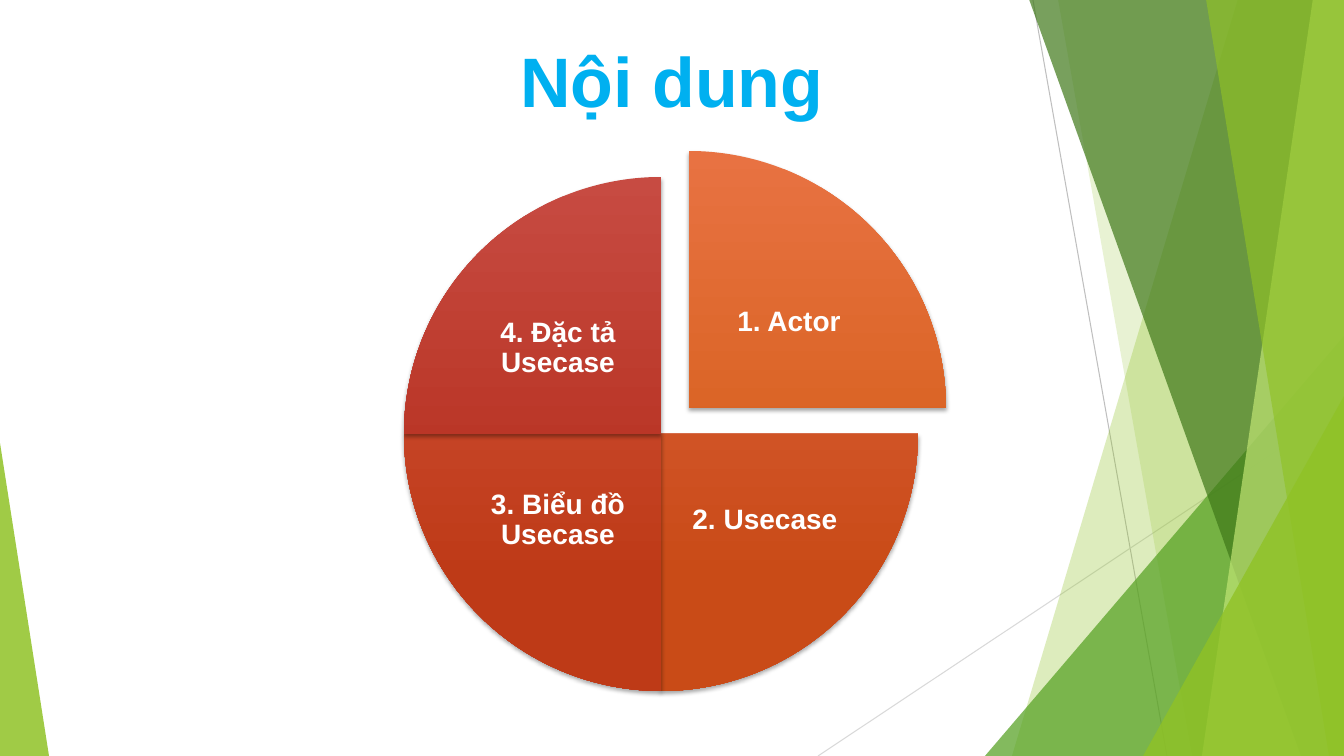
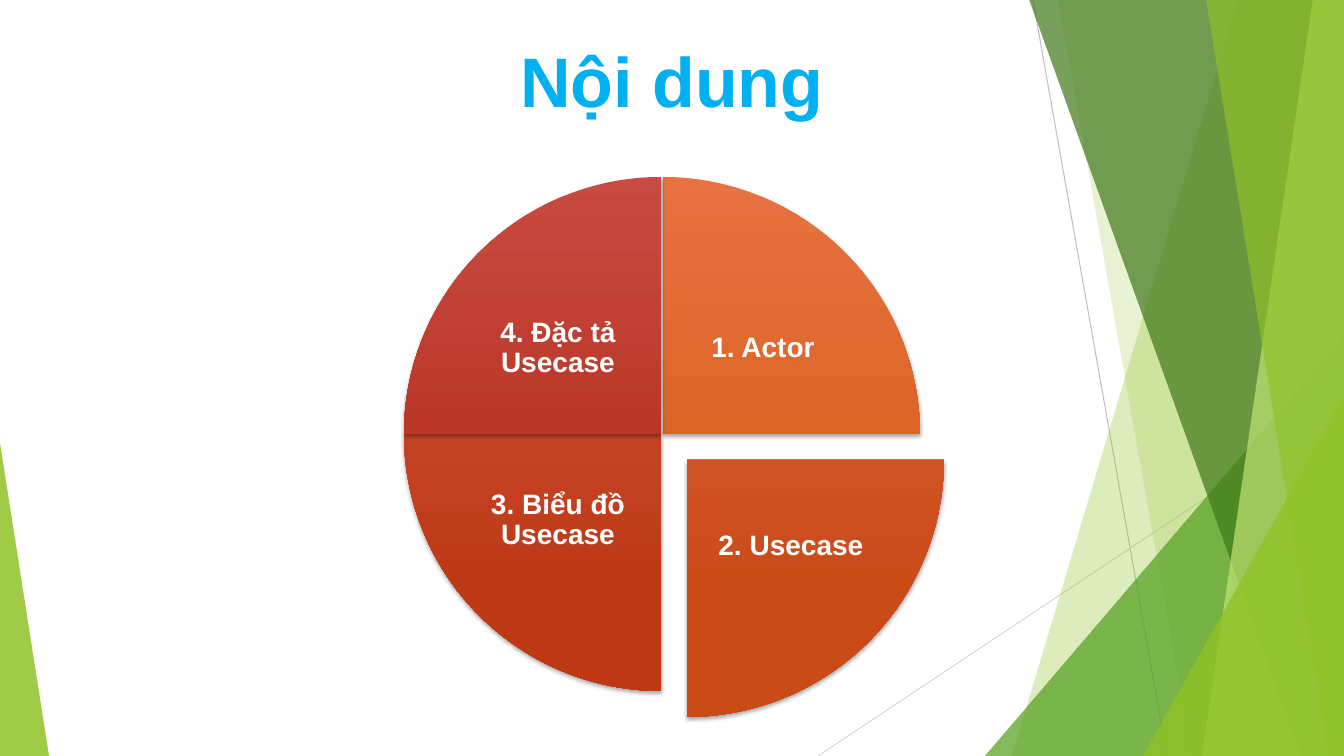
"""Build two contents slides, each pulling one slice out of a four-part pie."""
from dataclasses import dataclass

from lxml import etree
from pptx import Presentation
from pptx.dml.color import RGBColor
from pptx.enum.shapes import MSO_CONNECTOR, MSO_SHAPE
from pptx.enum.text import MSO_ANCHOR, MSO_AUTO_SIZE, PP_ALIGN
from pptx.oxml.ns import qn
from pptx.util import Inches, Pt

STRAIGHT = MSO_CONNECTOR.STRAIGHT
PIE, TRIANGLE = MSO_SHAPE.PIE, MSO_SHAPE.ISOSCELES_TRIANGLE
CENTER = PP_ALIGN.CENTER
TOP, MIDDLE = MSO_ANCHOR.TOP, MSO_ANCHOR.MIDDLE
NO_FIT = MSO_AUTO_SIZE.NONE
PX_PER_INCH = 100.8
QUARTER_TURN = 54
WIDTH, HEIGHT = 1344, 756


@dataclass(frozen=True)
class Theme:
    """Shared colours, font and type sizes."""
    font: str = "Arial"
    title: str = "00B0F0"
    label: str = "FFFFFF"
    lime: str = "90C226"
    green: str = "54A021"
    forest: str = "3F7819"
    pale: str = "C0E474"
    line_dark: str = "BFBFBF"
    line_light: str = "D9D9D9"
    title_size: int = 50
    label_size: int = 20


THEME = Theme()
TITLE = "Nội dung"
TITLE_BOX = (126, 27, 1092, 91)
PULLED_SLICES = (0, 1)

SLICES = [
    {"text": "1. Actor", "pie": (406, 177), "label": (668, 272),
     "turn": 3, "pull": (1, -1), "colors": ("E87242", "D35D16")},
    {"text": "2. Usecase", "pie": (404, 177), "label": (670, 444),
     "turn": 0, "pull": (1, 1), "colors": ("DD6242", "C94B17")},
    {"text": "3. Biểu đồ Usecase", "pie": (404, 177), "label": (463, 444),
     "turn": 1, "pull": (-1, 1), "colors": ("D25542", "BE3A17")},
    {"text": "4. Đặc tả Usecase", "pie": (404, 177), "label": (463, 272),
     "turn": 2, "pull": (-1, -1), "colors": ("C74B42", "B32B18")},
]
PIE_SIZE, LABEL_SIZE, PULL = 514, (190, 153), 26
GRADIENT_STOPS = (0, 0.78)

LINES = [
    ((1033, 0), (1167, 756), THEME.line_dark),
    ((1344, 406), (818, 756), THEME.line_light),
]
FACETS = [
    ("band", (1238, 1012), THEME.lime, 30),
    ("band", (1058, 1192), THEME.lime, 20),
    ("triangle", (985, 336, 359, 420, 1), THEME.green, 72),
    ("band", (1029, 1301), THEME.forest, 70),
    ("band", (1313, 1202), THEME.pale, 70),
    ("band", (1206, 1329), THEME.lime, 65),
    ("triangle", (1143, 396, 201, 360, 1), THEME.lime, 80),
    ("triangle", (0, 443, 49, 313, 0), THEME.lime, 85),
]


def px(*values):
    """Turn px lengths into a list of EMU lengths."""
    return [round(value * Inches(1) / PX_PER_INCH) for value in values]


INSET = px(3)[0]
TITLE_FRAME = {"vertical_anchor": TOP, "auto_size": NO_FIT, "word_wrap": True,
               "margin_top": px(11)[0], "margin_bottom": 0}
TITLE_PARAGRAPH = {"alignment": CENTER}
TITLE_FONT = {"name": THEME.font, "size": Pt(THEME.title_size), "bold": True}
LABEL_FRAME = {"vertical_anchor": MIDDLE, "auto_size": NO_FIT, "word_wrap": True,
               "margin_left": INSET, "margin_right": INSET,
               "margin_top": INSET, "margin_bottom": INSET}
LABEL_PARAGRAPH = {"alignment": CENTER, "line_spacing": 0.9, "space_after": Pt(7)}
LABEL_FONT = {"name": THEME.font, "size": Pt(THEME.label_size), "bold": True}


def apply_format(target, values):
    """Set each named attribute on the target."""
    for name, value in values.items():
        setattr(target, name, value)


def write_text(shape, text, color, frame_format, paragraph_format, font_format):
    """Write one formatted paragraph into the shape."""
    frame = shape.text_frame
    apply_format(frame, frame_format)
    paragraph = frame.paragraphs[0]
    apply_format(paragraph, paragraph_format)
    run = paragraph.add_run()
    run.text = text
    apply_format(run.font, font_format)
    run.font.color.rgb = RGBColor.from_string(color)


def add_alpha(color_element, percent):
    """Give a colour element its opacity."""
    etree.SubElement(color_element, qn("a:alpha"), val=str(percent * 1000))


def add_line(shapes, start, end, color):
    """Add one thin background line."""
    line = shapes.add_connector(STRAIGHT, *px(*start, *end))
    line.line.color.rgb = RGBColor.from_string(color)
    line.line.width = Pt(0.75)
    etree.SubElement(line.element.spPr, qn("a:effectLst"))


def add_facet(shapes, kind, geometry, color, opacity):
    """Add one translucent band or triangle."""
    if kind == "band":
        top_left, bottom_left = geometry
        builder = shapes.build_freeform(*px(top_left, -1))
        corners = [(WIDTH, -1), (WIDTH, HEIGHT), (bottom_left, HEIGHT)]
        builder.add_line_segments([px(*corner) for corner in corners], close=True)
        facet = builder.convert_to_shape()
    else:
        *box, apex = geometry
        facet = shapes.add_shape(TRIANGLE, *px(*box))
        facet.adjustments[0] = apex
    facet.fill.solid()
    facet.fill.fore_color.rgb = RGBColor.from_string(color)
    add_alpha(next(facet.element.iter(qn("a:srgbClr"))), opacity)
    facet.line.fill.background()
    facet.shadow.inherit = False


def decorate_master(master, slide):
    """Build the facets once and place them behind everything on the master."""
    group = slide.shapes.add_group_shape()
    for line in LINES:
        add_line(group.shapes, *line)
    for facet in FACETS:
        add_facet(group.shapes, *facet)
    for number, properties in enumerate(group.element.iter(qn("p:cNvPr")), 100):
        properties.set("id", str(number))
    master.shapes.element.insert(2, group.element)


def add_soft_shadow(shape):
    """Add a small shadow below the shape."""
    shape.shadow.inherit = False
    effects = next(shape.element.iter(qn("a:effectLst")))
    shadow = etree.SubElement(
        effects, qn("a:outerShdw"), blurRad=str(Pt(3)), dist=str(Pt(2)),
        dir="5400000", rotWithShape="0")
    add_alpha(etree.SubElement(shadow, qn("a:srgbClr"), val="000000"), 35)


def add_slice(shapes, item, pulled):
    """Add one quarter of the pie and its label."""
    shift_x, shift_y = (PULL * step * pulled for step in item["pull"])
    left, top = item["pie"]
    quarter = shapes.add_shape(
        PIE, *px(left + shift_x, top + shift_y, PIE_SIZE, PIE_SIZE))
    quarter.adjustments[0] = item["turn"] * QUARTER_TURN
    quarter.adjustments[1] = (item["turn"] + 1) % 4 * QUARTER_TURN
    quarter.fill.gradient()
    quarter.fill.gradient_angle = 270
    for stop, position, color in zip(
            quarter.fill.gradient_stops, GRADIENT_STOPS, item["colors"]):
        stop.position = position
        stop.color.rgb = RGBColor.from_string(color)
    quarter.line.fill.background()
    add_soft_shadow(quarter)
    left, top = item["label"]
    label = shapes.add_textbox(*px(left + shift_x, top + shift_y, *LABEL_SIZE))
    write_text(label, item["text"], THEME.label,
               LABEL_FRAME, LABEL_PARAGRAPH, LABEL_FONT)


def main():
    """Build and save the presentation."""
    presentation = Presentation()
    presentation.slide_width, presentation.slide_height = px(WIDTH, HEIGHT)
    layout = presentation.slide_layouts.get_by_name("Title Only")
    apply_format(layout.placeholders[0],
                 dict(zip(("left", "top", "width", "height"), px(*TITLE_BOX))))
    for pulled_index in PULLED_SLICES:
        slide = presentation.slides.add_slide(layout)
        if pulled_index == PULLED_SLICES[0]:
            decorate_master(presentation.slide_master, slide)
        write_text(slide.shapes.title, TITLE, THEME.title,
                   TITLE_FRAME, TITLE_PARAGRAPH, TITLE_FONT)
        pie = slide.shapes.add_group_shape()
        for index, item in enumerate(SLICES):
            add_slice(pie.shapes, item, index == pulled_index)
    presentation.save("out.pptx")


if __name__ == "__main__":
    main()
